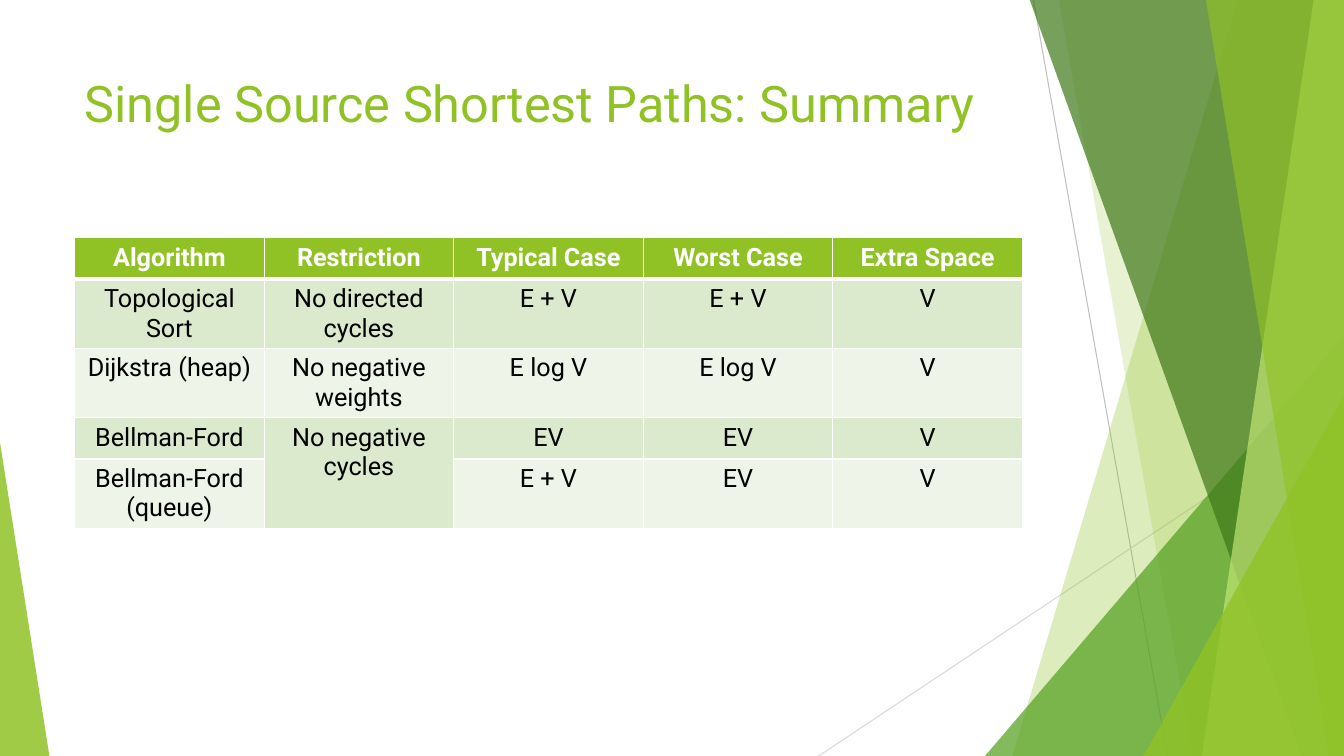
from lxml import etree
from pptx import Presentation
from pptx.dml.color import RGBColor
from pptx.enum.shapes import MSO_CONNECTOR, MSO_SHAPE
from pptx.enum.text import MSO_ANCHOR, PP_ALIGN
from pptx.oxml.ns import qn
from pptx.util import Inches, Pt

LINE = MSO_CONNECTOR.STRAIGHT
WEDGE = MSO_SHAPE.ISOSCELES_TRIANGLE
TOP = MSO_ANCHOR.TOP
LEFT, MID = PP_ALIGN.LEFT, PP_ALIGN.CENTER

LIME = RGBColor(0x90, 0xC2, 0x26)
GREEN = RGBColor(0x54, 0xA0, 0x21)
DARK = RGBColor(0x3F, 0x78, 0x19)
PALE = RGBColor(0xC0, 0xE4, 0x74)
SILVER = RGBColor(0xBF, 0xBF, 0xBF)
MIST = RGBColor(0xD9, 0xD9, 0xD9)
BAND = RGBColor(0xDB, 0xE9, 0xCD)
LIGHT = RGBColor(0xEE, 0xF4, 0xE8)
WHITE = RGBColor(0xFF, 0xFF, 0xFF)
BLACK = RGBColor(0, 0, 0)

FONT = "Roboto"
WIDE, HIGH = 13.33, 7.5
ROW = 0.41
ROWS = [
    ["Algorithm", "Restriction", "Typical Case", "Worst Case", "Extra Space"],
    ["Topological Sort", "No directed cycles", "E + V", "E + V", "V"],
    ["Dijkstra (heap)", "No negative weights", "E log V", "E log V", "V"],
    ["Bellman-Ford", "No negative cycles", "EV", "EV", "V"],
    ["Bellman-Ford (queue)", "", "E + V", "EV", "V"],
]


def paint(shape, color, alpha):
    """Give a shape a see-through fill, with no line or shadow."""
    shape.shadow.inherit = False
    shape.line.fill.background()
    shape.fill.solid()
    shape.fill.fore_color.rgb = color
    tint = shape.element.spPr.find(qn("a:solidFill"))[0]
    etree.SubElement(tint, qn("a:alpha"), val=str(alpha * 1000))


def draw_line(slide, start, end, color):
    """Draw a thin line between two points."""
    line = slide.shapes.add_connector(LINE, *map(Inches, start + end))
    line.line.color.rgb = color
    line.line.width = Pt(0.75)
    etree.SubElement(line.element.spPr, qn("a:effectLst"))


def draw_pane(slide, top, foot, color, alpha):
    """Draw a pane from a slanted left edge to the right slide edge."""
    pen = slide.shapes.build_freeform(Inches(top), Inches(-0.01), scale=1.0)
    rest = [(WIDE, -0.01), (WIDE, HIGH), (foot, HIGH)]
    pen.add_line_segments([(Inches(x), Inches(y)) for x, y in rest])
    paint(pen.convert_to_shape(), color, alpha)


def draw_wedge(slide, box, peak, color, alpha):
    """Draw a triangle whose peak lies at a share of its width."""
    wedge = slide.shapes.add_shape(WEDGE, *map(Inches, box))
    wedge.adjustments[0] = peak
    paint(wedge, color, alpha)


def draw_facets(slide):
    """Draw the green facets along the slide edges."""
    draw_line(slide, (10.25, 0), (11.58, HIGH), SILVER)
    draw_line(slide, (WIDE, 4.03), (8.12, HIGH), MIST)
    draw_pane(slide, 12.28, 10.04, LIME, 30)
    draw_pane(slide, 10.5, 11.83, LIME, 20)
    draw_wedge(slide, (9.77, 3.33, 3.56, 4.17), 1, GREEN, 72)
    draw_pane(slide, 10.21, 12.91, DARK, 70)
    draw_pane(slide, 13.03, 11.92, PALE, 70)
    draw_pane(slide, 11.96, 13.18, LIME, 65)
    draw_wedge(slide, (11.34, 3.93, 1.99, 3.57), 1, LIME, 80)
    draw_wedge(slide, (0, 4.39, 0.49, 3.11), 0, LIME, 85)


def put_title(slide, box, text):
    """Place and format the title in front of the facets."""
    title = slide.shapes.title
    title.left, title.top, title.width, title.height = map(Inches, box)
    title.element.getparent().append(title.element)
    frame = title.text_frame
    frame.text = text
    frame.word_wrap = True
    frame.vertical_anchor = TOP
    para = frame.paragraphs[0]
    para.alignment = LEFT
    para.font.name, para.font.size = FONT, Pt(36)
    para.font.color.rgb = LIME


def edge_cell(cell, row):
    """Give a cell white borders, thick under the header."""
    sides = {"L": 1, "R": 1, "T": 3 if row == 1 else 1, "B": 1 if row else 3}
    props = cell._tc.get_or_add_tcPr()
    for spot, (side, width) in enumerate(sides.items()):
        edge = etree.Element(qn("a:ln" + side), w=str(Pt(width)))
        fill = etree.SubElement(edge, qn("a:solidFill"))
        etree.SubElement(fill, qn("a:srgbClr"), val=str(WHITE))
        props.insert(spot, edge)


def fill_cell(cell, row, text):
    """Write and format one table cell."""
    cell.text = text
    para = cell.text_frame.paragraphs[0]
    para.alignment = MID
    para.font.name, para.font.size = FONT, Pt(18)
    para.font.bold = row == 0
    para.font.color.rgb = BLACK if row else WHITE
    cell.fill.solid()
    cell.fill.fore_color.rgb = (BAND if row % 2 else LIGHT) if row else LIME
    edge_cell(cell, row)


def put_table(slide, box, rows):
    """Place the summary table in its box."""
    frame = slide.shapes.add_table(len(rows), len(rows[0]), *map(Inches, box))
    table = frame.table
    for row, texts in enumerate(rows):
        table.rows[row].height = Inches(ROW)
        for col, text in enumerate(texts):
            fill_cell(table.cell(row, col), row, text)
    table.cell(3, 1).merge(table.cell(4, 1))
    frame.height = Inches(box[3])


def main():
    """Build and save the slide."""
    deck = Presentation()
    deck.slide_width, deck.slide_height = Inches(WIDE), Inches(HIGH)
    slide = deck.slides.add_slide(deck.slide_layouts[5])
    draw_facets(slide)
    put_title(slide, (0.74, 0.67, 9.4, 1.44),
              "Single Source Shortest Paths: Summary")
    put_table(slide, (0.74, 2.36, 9.4, 2.91), ROWS)
    deck.save("out.pptx")


if __name__ == "__main__":
    main()
